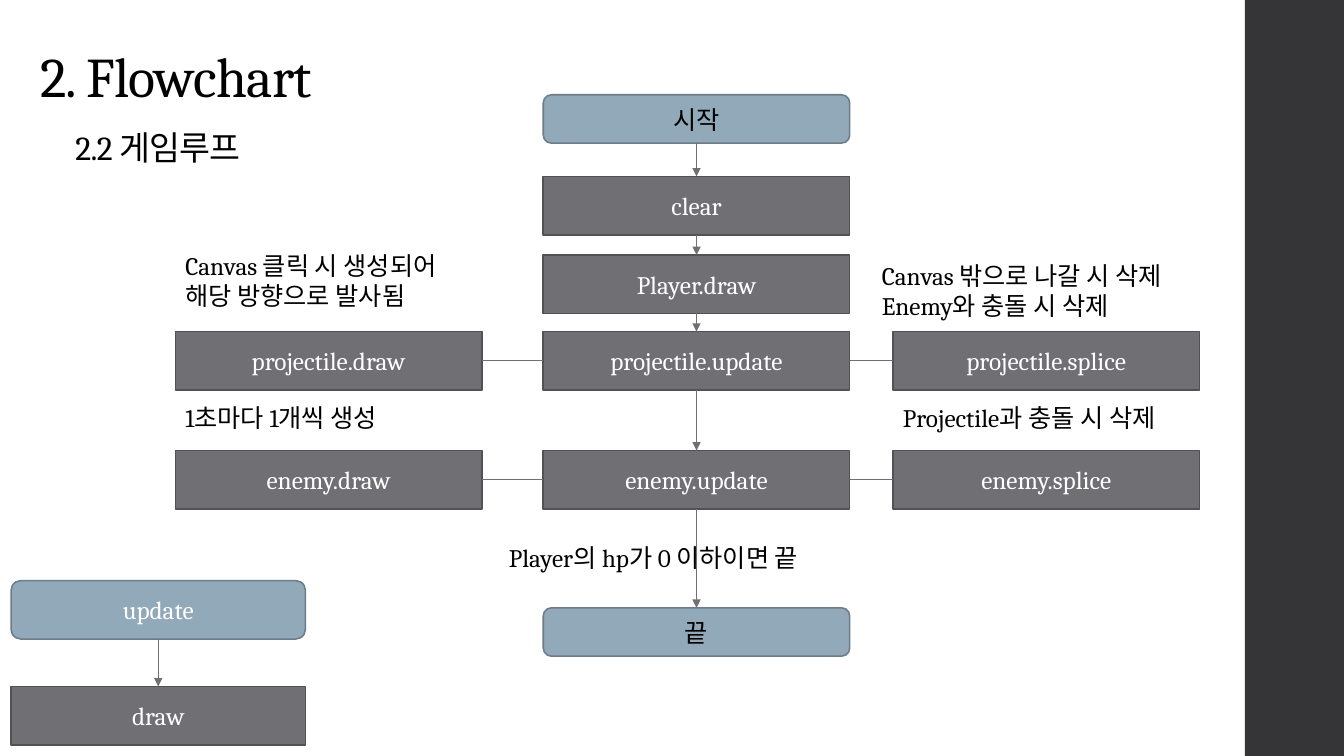
from lxml import etree
from pptx import Presentation
from pptx.dml.color import RGBColor
from pptx.enum.shapes import MSO_CONNECTOR, MSO_SHAPE
from pptx.enum.text import MSO_ANCHOR, MSO_AUTO_SIZE, PP_ALIGN
from pptx.oxml.ns import qn
from pptx.util import Inches, Pt

RECTANGLE = MSO_SHAPE.RECTANGLE
ROUNDED = MSO_SHAPE.ROUNDED_RECTANGLE
STRAIGHT = MSO_CONNECTOR.STRAIGHT
TOP, MIDDLE, BOTTOM = MSO_ANCHOR.TOP, MSO_ANCHOR.MIDDLE, MSO_ANCHOR.BOTTOM
LEFT, CENTER = PP_ALIGN.LEFT, PP_ALIGN.CENTER
GROW = MSO_AUTO_SIZE.SHAPE_TO_FIT_TEXT
TOP_SIDE, LEFT_SIDE, BOTTOM_SIDE, RIGHT_SIDE = range(4)

BLACK = RGBColor(0x00, 0x00, 0x00)
WHITE = RGBColor(0xFF, 0xFF, 0xFF)
CHARCOAL = RGBColor(0x35, 0x35, 0x37)
GRAY = RGBColor(0x6F, 0x6F, 0x74)
GRAY_EDGE = RGBColor(0x52, 0x52, 0x56)
BLUE = RGBColor(0x92, 0xA9, 0xB9)
BLUE_EDGE = RGBColor(0x6C, 0x7D, 0x89)

COLUMNS, ROWS = 40, 30
STEP_WIDTH, STEP_HEIGHT, TERMINAL_HEIGHT = 9.12, 2.32, 1.92
DRAW_COLUMN, UPDATE_COLUMN, SPLICE_COLUMN = 5.22, 16.17, 26.58


def apply_format(target, values):
    for name, value in values.items():
        setattr(target, name, value)


class FlowchartSlide:
    font_name = "Cambria"
    text_size = 18

    def __init__(self, presentation):
        self.slide = presentation.slides.add_slide(presentation.slide_layouts[6])
        self.column = presentation.slide_width / COLUMNS
        self.row = presentation.slide_height / ROWS

    def place(self, left, top, width, height):
        return (round(left * self.column), round(top * self.row),
                round(width * self.column), round(height * self.row))

    def add_text(self, paragraph, text, color, size=text_size):
        run = paragraph.add_run()
        run.text = text
        apply_format(run.font, {"name": self.font_name, "size": Pt(size)})
        run.font.color.rgb = color
        return run

    def box(self, kind, area, fill, edge=None, text="", color=WHITE):
        shape = self.slide.shapes.add_shape(kind, *self.place(*area))
        shape.shadow.inherit = False
        shape.fill.solid()
        shape.fill.fore_color.rgb = fill
        if edge is None:
            shape.line.fill.background()
        else:
            shape.line.color.rgb = edge
            shape.line.width = Pt(1.1)
        if text:
            apply_format(shape.text_frame, {"word_wrap": True, "vertical_anchor": MIDDLE})
            paragraph = shape.text_frame.paragraphs[0]
            paragraph.alignment = CENTER
            self.add_text(paragraph, text, color)
        return shape

    def step(self, left, top, text, width=STEP_WIDTH):
        return self.box(RECTANGLE, (left, top, width, STEP_HEIGHT), GRAY, GRAY_EDGE, text)

    def terminal(self, left, top, text, width=STEP_WIDTH, height=TERMINAL_HEIGHT, color=BLACK):
        return self.box(ROUNDED, (left, top, width, height), BLUE, BLUE_EDGE, text, color)

    def link(self, start, start_side, end, end_side, arrow=False):
        connector = self.slide.shapes.add_connector(STRAIGHT, 0, 0, 0, 0)
        connector.begin_connect(start, start_side)
        connector.end_connect(end, end_side)
        connector.line.color.rgb = GRAY
        connector.line.width = Pt(0.75)
        properties = connector._element.spPr
        if arrow:
            etree.SubElement(properties.find(qn("a:ln")), qn("a:tailEnd"), type="triangle")
        etree.SubElement(properties, qn("a:effectLst"))

    def flow(self, steps):
        for upper, lower in zip(steps, steps[1:]):
            self.link(upper, BOTTOM_SIDE, lower, TOP_SIDE, arrow=True)

    def note(self, area, *lines):
        frame = self.slide.shapes.add_textbox(*self.place(*area)).text_frame
        apply_format(frame, {"word_wrap": True, "auto_size": GROW, "vertical_anchor": TOP})
        for index, text in enumerate(lines):
            paragraph = frame.add_paragraph() if index else frame.paragraphs[0]
            paragraph.alignment = LEFT
            self.add_text(paragraph, text, BLACK)

    def heading(self, area, title, subtitle):
        frame = self.slide.shapes.add_textbox(*self.place(*area)).text_frame
        apply_format(frame, {"word_wrap": True, "vertical_anchor": BOTTOM,
                             "margin_bottom": Inches(0.08)})
        for text, size, indent in ((title, 40, 0), (subtitle, 24, 0.35)):
            paragraph = frame.add_paragraph() if indent else frame.paragraphs[0]
            paragraph.line_spacing = Pt(42)
            properties = paragraph._p.get_or_add_pPr()
            properties.set("marL", str(Inches(indent)))
            properties.set("indent", "0")
            run = self.add_text(paragraph, text, BLACK, size)
            run._r.get_or_add_rPr().set("spc", "-50")


def main():
    presentation = Presentation()
    apply_format(presentation, {"slide_width": Inches(13.33), "slide_height": Inches(7.5)})
    chart = FlowchartSlide(presentation)

    chart.box(RECTANGLE, (37.05, 0, 2.95, ROWS), CHARCOAL)
    chart.heading((0.9, 1.72, 15.03, 5.24), "2. Flowchart", "2.2 게임루프")

    main_flow = [chart.terminal(UPDATE_COLUMN, 3.76, "시작")]
    for top, text in ((7, "clear"), (10.12, "Player.draw")):
        main_flow.append(chart.step(UPDATE_COLUMN, top, text))
    for top, name in ((13.16, "projectile"), (17.88, "enemy")):
        draw, update, splice = [
            chart.step(left, top, f"{name}.{action}")
            for left, action in ((DRAW_COLUMN, "draw"), (UPDATE_COLUMN, "update"),
                                 (SPLICE_COLUMN, "splice"))
        ]
        chart.link(update, LEFT_SIDE, draw, RIGHT_SIDE)
        chart.link(update, RIGHT_SIDE, splice, LEFT_SIDE)
        main_flow.append(update)
    main_flow.append(chart.terminal(UPDATE_COLUMN, 24.12, "끝"))
    chart.flow(main_flow)

    chart.flow([
        chart.terminal(0.33, 23.04, "update", 8.76, STEP_HEIGHT, WHITE),
        chart.step(0.33, 27.24, "draw", 8.76),
    ])

    chart.note((DRAW_COLUMN, 9.72, STEP_WIDTH, 2.84), "Canvas 클릭 시 생성되어 해당 방향으로 발사됨")
    chart.note((25.95, 10.12, 10.68, 2.84), "Canvas 밖으로 나갈 시 삭제", "Enemy와 충돌 시 삭제")
    chart.note((DRAW_COLUMN, 15.76, 9.33, 1.6), "1초마다 1개씩 생성")
    chart.note((SPLICE_COLUMN, 15.76, STEP_WIDTH, 1.6), "Projectile과 충돌 시 삭제")
    chart.note((14.85, 21.32, 11.76, 1.6), "Player의 hp가 0 이하이면 끝")

    presentation.save("out.pptx")


if __name__ == "__main__":
    main()
